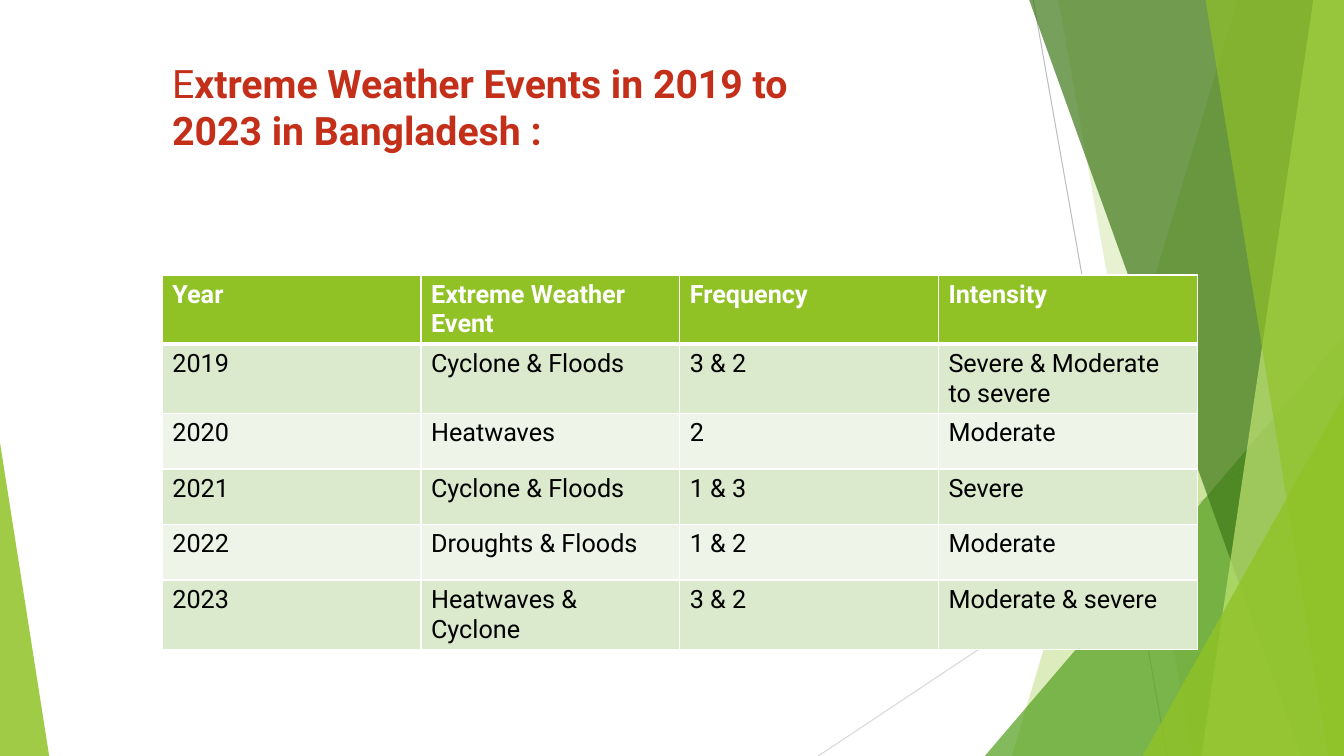
from lxml.etree import SubElement
from pptx import Presentation
from pptx.dml.color import RGBColor
from pptx.enum.shapes import MSO_CONNECTOR, MSO_SHAPE
from pptx.oxml.ns import qn
from pptx.util import Cm, Pt

WHITE = RGBColor(0xFF, 0xFF, 0xFF)
BLACK = RGBColor(0, 0, 0)
RED = RGBColor(0xC4, 0x2F, 0x1A)
LIME = RGBColor(0x90, 0xC2, 0x26)
GREEN = RGBColor(0x54, 0xA0, 0x21)
DARK_GREEN = RGBColor(0x3F, 0x78, 0x19)
PALE_LIME = RGBColor(0xC0, 0xE4, 0x74)
BAND_DARK = RGBColor(0xDB, 0xE9, 0xCD)
BAND_LIGHT = RGBColor(0xEE, 0xF4, 0xE8)
GREY = RGBColor(0xBF, 0xBF, 0xBF)
LIGHT_GREY = RGBColor(0xD9, 0xD9, 0xD9)
FONT = "Roboto"
WIDTH, HEIGHT = 33.87, 19.05

TITLE = [("E", False), ("xtreme Weather Events in 2019 to 2023 in Bangladesh :", True)]
EVENTS = [
    ("Year", "Extreme Weather Event", "Frequency", "Intensity"),
    ("2019", "Cyclone & Floods", "3 & 2", "Severe & Moderate to severe"),
    ("2020", "Heatwaves", "2", "Moderate"),
    ("2021", "Cyclone & Floods", "1 & 3", "Severe"),
    ("2022", "Droughts & Floods", "1 & 2", "Moderate"),
    ("2023", "Heatwaves & Cyclone", "3 & 2", "Moderate & severe"),
]
RAYS = [
    (26.04, 0, 29.41, HEIGHT, GREY),
    (WIDTH, 10.24, 20.62, HEIGHT, LIGHT_GREY),
]
# kind, geometry, colour, opacity
FACETS = [
    ("band", (31.19, 25.5), LIME, 30),
    ("band", (26.67, 30.05), LIME, 20),
    ("triangle", (24.82, 8.46, WIDTH, 1), GREEN, 72),
    ("band", (25.93, 32.79), DARK_GREEN, 70),
    ("band", (33.1, 30.28), PALE_LIME, 70),
    ("band", (30.38, 33.48), LIME, 65),
    ("triangle", (28.8, 9.98, WIDTH, 1), LIME, 80),
    ("triangle", (0, 11.15, 1.24, 0), LIME, 85),
]
LEFT, TABLE_TOP, COL_WIDTH, ROW_HEIGHT = 4.09, 6.93, 6.52, 1.4


def add_band(shapes, top_x, bottom_x):
    builder = shapes.build_freeform(Cm(top_x), Cm(-0.02))
    corners = [(WIDTH, -0.02), (WIDTH, HEIGHT), (bottom_x, HEIGHT)]
    builder.add_line_segments([(Cm(x), Cm(y)) for x, y in corners])
    return builder.convert_to_shape()


def add_triangle(shapes, left, top, right, apex):
    sp = shapes.add_shape(MSO_SHAPE.ISOSCELES_TRIANGLE, Cm(left), Cm(top),
                          Cm(right - left), Cm(HEIGHT - top))
    sp.adjustments[0] = apex
    return sp


def add_run(p, text, size, color, bold):
    r = p.add_run()
    r.text = text
    r.font.name, r.font.size, r.font.bold = FONT, Pt(size), bold
    r.font.color.rgb = color


def add_borders(cell, top, bottom):
    tc_pr = cell._tc.get_or_add_tcPr()
    for side, width in (("L", 1), ("R", 1), ("T", top), ("B", bottom)):
        ln = SubElement(tc_pr, qn(f"a:ln{side}"), w=str(Pt(width)))
        SubElement(SubElement(ln, qn("a:solidFill")), qn("a:srgbClr"), val=str(WHITE))


def add_backdrop(shapes):
    for x1, y1, x2, y2, color in RAYS:
        ray = shapes.add_connector(MSO_CONNECTOR.STRAIGHT, Cm(x1), Cm(y1), Cm(x2), Cm(y2))
        ray.line.color.rgb, ray.line.width = color, Pt(0.75)
        SubElement(ray._element.spPr, qn("a:effectLst"))
    makers = {"band": add_band, "triangle": add_triangle}
    for kind, geometry, color, opacity in FACETS:
        sp = makers[kind](shapes, *geometry)
        sp.shadow.inherit = False
        sp.line.fill.background()
        sp.fill.solid()
        sp.fill.fore_color.rgb = color
        clr = sp._element.spPr.find(qn("a:solidFill"))[0]
        SubElement(clr, qn("a:alpha"), val=str(opacity * 1000))


def add_events_table(shapes):
    cols = len(EVENTS[0])
    table = shapes.add_table(len(EVENTS), cols, Cm(LEFT), Cm(TABLE_TOP),
                             Cm(COL_WIDTH * cols), Cm(ROW_HEIGHT * len(EVENTS))).table
    for col in table.columns:
        col.width = Cm(COL_WIDTH)
    for i, values in enumerate(EVENTS):
        table.rows[i].height = Cm(ROW_HEIGHT)
        header = i == 0
        fill = LIME if header else BAND_DARK if i % 2 else BAND_LIGHT
        for j, value in enumerate(values):
            cell = table.cell(i, j)
            add_borders(cell, 3 if i == 1 else 1, 3 if header else 1)
            cell.fill.solid()
            cell.fill.fore_color.rgb = fill
            add_run(cell.text_frame.paragraphs[0], value, 18,
                    WHITE if header else BLACK, header)


def add_title(shapes):
    tf = shapes.add_textbox(Cm(LEFT), Cm(1.37), Cm(16.38), Cm(2.64)).text_frame
    tf.word_wrap = True
    for text, bold in TITLE:
        add_run(tf.paragraphs[0], text, 28, RED, bold)


def main():
    prs = Presentation()
    prs.slide_width, prs.slide_height = Cm(WIDTH), Cm(HEIGHT)
    s = prs.slides.add_slide(prs.slide_layouts[6])
    add_backdrop(s.shapes)
    add_events_table(s.shapes)
    add_title(s.shapes)
    prs.save("out.pptx")


if __name__ == "__main__":
    main()
